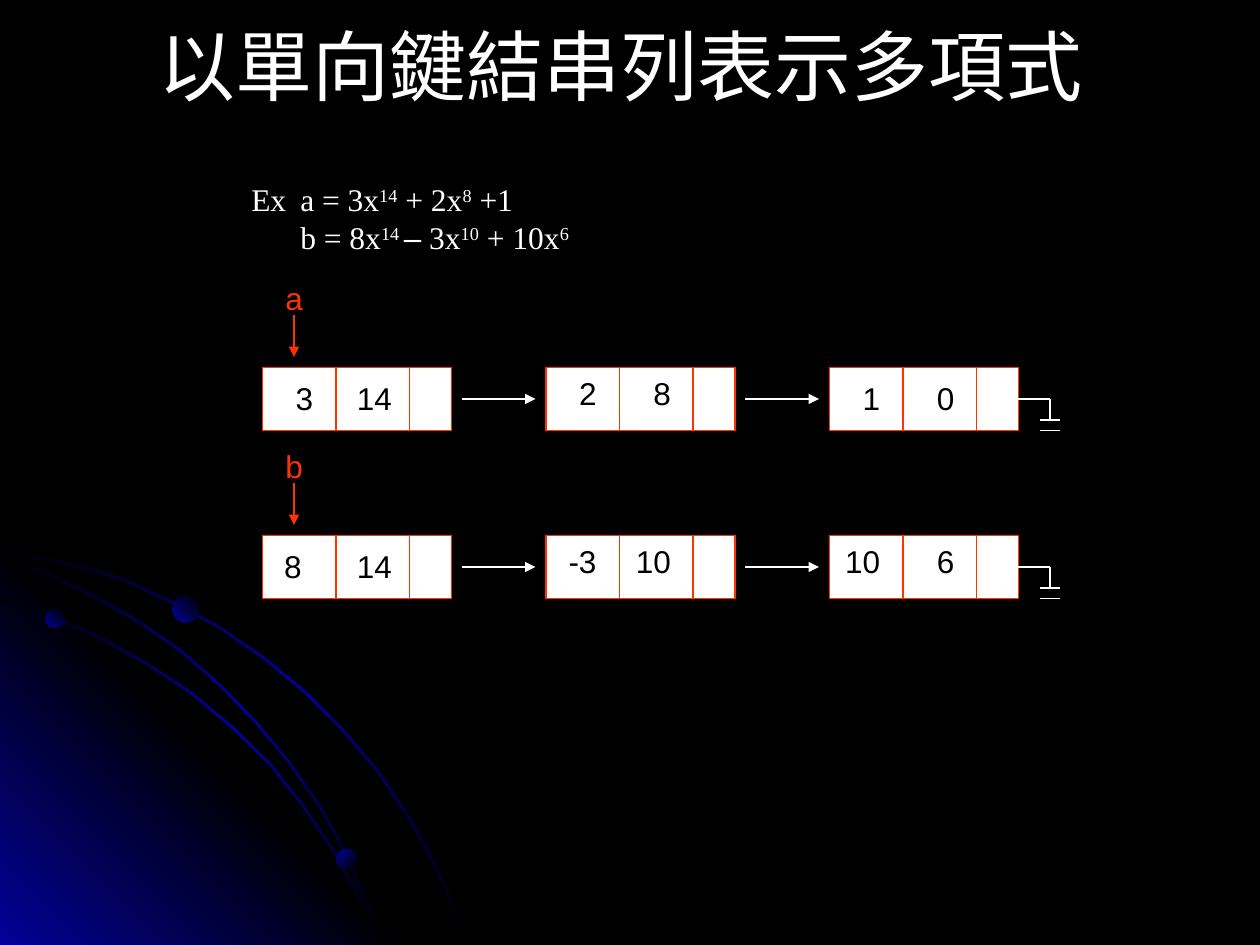
"""Build a slide that shows two polynomials as singly linked lists."""
from dataclasses import dataclass

from lxml.etree import SubElement
from pptx import Presentation
from pptx.dml.color import RGBColor
from pptx.enum.shapes import MSO_CONNECTOR, MSO_SHAPE
from pptx.enum.text import MSO_ANCHOR, MSO_AUTO_SIZE, PP_ALIGN
from pptx.oxml.ns import qn
from pptx.util import Pt

COLORS = {"black": "000000", "white": "FFFFFF", "red": "FF3300", "blue": "010199"}
SERIF, SANS, CHINESE = "Times New Roman", "Arial", "Noto Sans CJK TC"
NODE_LEFT, NODE_PITCH, NODE_WIDTH, NODE_HEIGHT = 150, 162, 108, 36
DIVIDERS = (42, 84)
BAND_THICKNESS = 1.6


@dataclass(frozen=True)
class Run:
    text: str
    baseline: int = 0
    font: str = ""


@dataclass(frozen=True)
class Node:
    coefficient: str
    exponent: str
    drop: float = 0
    rights: tuple[float, float] = (36, 78.5)


@dataclass(frozen=True)
class LinkedList:
    name: str
    top: float
    nodes: tuple[Node, ...]


@dataclass(frozen=True)
class Ball:
    left: float
    top: float
    size: float
    angle: int


LISTS = (
    LinkedList("a", 210, (Node("3", "14", 3, (36, 81)), Node("2", "8"), Node("1", "0", 3))),
    LinkedList("b", 306, (Node("8", "14", 3, (29.5, 81)), Node("-3", "10"), Node("10", "6"))),
)
FORMULAS = (
    (Run("Ex\ta = 3x"), Run("14", 30), Run(" + 2x"), Run("8", 30), Run(" +1")),
    (Run("\tb = 8x"), Run("14 ", 30), Run("–", font=SANS), Run(" 3x"),
     Run("10", 30), Run(" + 10x"), Run("6", 30)),
)
WIDE_ARC = ((0, 313.2), (20.2, 317.5), (41, 321.8), (70.6, 330.5), (97.9, 343.4),
            (125.3, 357.8), (150.5, 375.1), (174.2, 394.6), (195.8, 416.2), (216, 439.9),
            (234, 466.6), (244.1, 484.6), (253.4, 502.6), (260.6, 520.6), (267.8, 539.3))
LOW_ARC = ((0, 342), (29.5, 351.4), (56.9, 363.6), (84.2, 378.7), (109.4, 395.3),
           (132.5, 414.7), (154.8, 436.3), (174.2, 460.8), (191.5, 486.7),
           (205.9, 512.6), (213.1, 525.6), (218.2, 539.3))
MIDDLE_ARC = ((0, 318.2), (28.1, 327.6), (54.7, 340.6), (79.9, 355), (103.7, 371.5),
              (126, 391), (146.9, 412.6), (164.9, 434.2), (182.9, 460.1),
              (193.7, 478.8), (203, 499), (211.7, 518.4), (218.2, 539.3))
GLOW = ((0, 307.5), (0, 540), (232, 540))
BALLS = (Ball(26, 348, 10.8, 315), Ball(192.2, 485.3, 11.5, 45), Ball(98.6, 340.6, 15.1, 315))


def rgb(color: str) -> RGBColor:
    return RGBColor.from_string(COLORS[color])


def fill_gradient(shape, colors: tuple[str, ...], angle: int) -> None:
    shape.shadow.inherit = False
    shape.line.fill.background()
    shape.fill.gradient()
    gradient = shape._element.spPr.find(qn("a:gradFill"))
    for child in list(gradient):
        gradient.remove(child)
    stops = SubElement(gradient, qn("a:gsLst"))
    for index, color in enumerate(colors):
        position = 100000 * index // (len(colors) - 1)
        stop = SubElement(stops, qn("a:gs"), pos=str(position))
        SubElement(stop, qn("a:srgbClr"), val=COLORS[color])
    SubElement(gradient, qn("a:lin"), ang=str(angle * 60000), scaled="1")


def draw_outline(shapes, points, colors: tuple[str, ...], angle: int) -> None:
    corners = [(Pt(x), Pt(y)) for x, y in points]
    builder = shapes.build_freeform(*corners[0])
    builder.add_line_segments(corners[1:], close=True)
    fill_gradient(builder.convert_to_shape(), colors, angle)


def draw_arc(shapes, edge) -> None:
    last = len(edge) - 1
    inner = [(x - BAND_THICKNESS * i / last, y + BAND_THICKNESS * (1 - i / last))
             for i, (x, y) in enumerate(edge)]
    draw_outline(shapes, [*edge, *reversed(inner)], ("black", "blue", "black"), 45)


def draw_background(slide) -> None:
    slide.background.fill.solid()
    slide.background.fill.fore_color.rgb = rgb("black")
    group = slide.shapes.add_group_shape()
    draw_arc(group.shapes, WIDE_ARC)
    draw_outline(group.shapes, GLOW, ("blue", "black", "blue"), 315)
    draw_arc(group.shapes, LOW_ARC)
    draw_arc(group.shapes, MIDDLE_ARC)
    for ball in BALLS:
        shape = group.shapes.add_shape(MSO_SHAPE.OVAL, Pt(ball.left), Pt(ball.top),
                                       Pt(ball.size), Pt(ball.size))
        fill_gradient(shape, ("blue", "black"), ball.angle)


def write_text(frame, text, *, font: str, color: str, size: float = 18,
               align=PP_ALIGN.LEFT, anchor=MSO_ANCHOR.TOP, wrap: bool = False,
               tab: float = 0) -> None:
    frame.word_wrap, frame.auto_size = wrap, MSO_AUTO_SIZE.NONE
    frame.vertical_anchor = anchor
    lines = ((Run(text),),) if isinstance(text, str) else text
    for index, line in enumerate(lines):
        paragraph = frame.paragraphs[0] if index == 0 else frame.add_paragraph()
        paragraph.alignment = align
        if tab:
            tabs = SubElement(paragraph._p.get_or_add_pPr(), qn("a:tabLst"))
            SubElement(tabs, qn("a:tab"), pos=str(Pt(tab)), algn="l")
        for part in line:
            run = paragraph.add_run()
            run.text = part.text
            run.font.size = Pt(size)
            run.font.color.rgb = rgb(color)
            run.font.name = part.font or font
            properties = run._r.get_or_add_rPr()
            SubElement(properties, qn("a:ea"), typeface=part.font or font)
            if part.baseline:
                properties.set("baseline", str(part.baseline * 1000))


def add_text(slide, left: float, top: float, width: float, height: float, text, **style) -> None:
    box = slide.shapes.add_textbox(Pt(left), Pt(top), Pt(width), Pt(height))
    write_text(box.text_frame, text, **style)


def draw_line(shapes, start, end, color: str, arrow: bool = False):
    connector = shapes.add_connector(MSO_CONNECTOR.STRAIGHT, *map(Pt, (*start, *end)))
    connector.line.color.rgb = rgb(color)
    connector.line.width = Pt(0.75)
    if arrow:
        SubElement(connector.line._get_or_add_ln(), qn("a:tailEnd"), type="triangle")
    SubElement(connector._element.spPr, qn("a:effectLst"))
    return connector


def draw_node(slide, node: Node, left: float, top: float):
    group = slide.shapes.add_group_shape()
    box = group.shapes.add_shape(MSO_SHAPE.RECTANGLE, Pt(left), Pt(top),
                                 Pt(NODE_WIDTH), Pt(NODE_HEIGHT))
    box.shadow.inherit = False
    box.fill.solid()
    box.fill.fore_color.rgb = rgb("white")
    box.line.color.rgb = rgb("red")
    box.line.width = Pt(0.75)
    for offset in DIVIDERS:
        draw_line(group.shapes, (left + offset, top), (left + offset, top + NODE_HEIGHT), "red")
    for value, right in zip((node.coefficient, node.exponent), node.rights):
        width = 14.4 + 10.2 * len(value)
        add_text(slide, left + right - width, top + node.drop, width, 29, value,
                 font=SANS, color="black", align=PP_ALIGN.RIGHT)
    return box


def draw_list(slide, linked: LinkedList) -> None:
    top, middle = linked.top, linked.top + NODE_HEIGHT / 2
    for index, node in enumerate(linked.nodes):
        left = NODE_LEFT + index * NODE_PITCH
        box = draw_node(slide, node, left, top)
        right = left + NODE_WIDTH
        if index < len(linked.nodes) - 1:
            draw_line(slide.shapes, (right + 6, middle),
                      (left + NODE_PITCH - 6, middle), "white", arrow=True)
    ground = right + 18
    draw_line(slide.shapes, (right, middle), (ground, middle), "white").begin_connect(box, 3)
    draw_line(slide.shapes, (ground, middle), (ground, middle + 12), "white")
    for y in (middle + 12, middle + 18):
        draw_line(slide.shapes, (ground - 6, y), (ground + 6, y), "white")
    draw_line(slide.shapes, (168, top - 30), (168, top - 6), "red", arrow=True)
    add_text(slide, 156, top - 54, 24.6, 29, linked.name, font=SANS, color="red")


def main() -> None:
    presentation = Presentation()
    presentation.slide_width, presentation.slide_height = Pt(720), Pt(540)
    slide = presentation.slides.add_slide(presentation.slide_layouts[5])
    draw_background(slide)
    title = slide.shapes.title
    title.left, title.top, title.width, title.height = map(Pt, (36, 6, 648, 62))
    write_text(title.text_frame, "以單向鍵結串列表示多項式 ", font=CHINESE, color="white",
               size=44, align=PP_ALIGN.CENTER, anchor=MSO_ANCHOR.MIDDLE, wrap=True)
    add_text(slide, 136.5, 99.5, 209, 50.5, FORMULAS, font=SERIF, color="white", tab=28)
    for linked in LISTS:
        draw_list(slide, linked)
    presentation.save("out.pptx")


if __name__ == "__main__":
    main()
